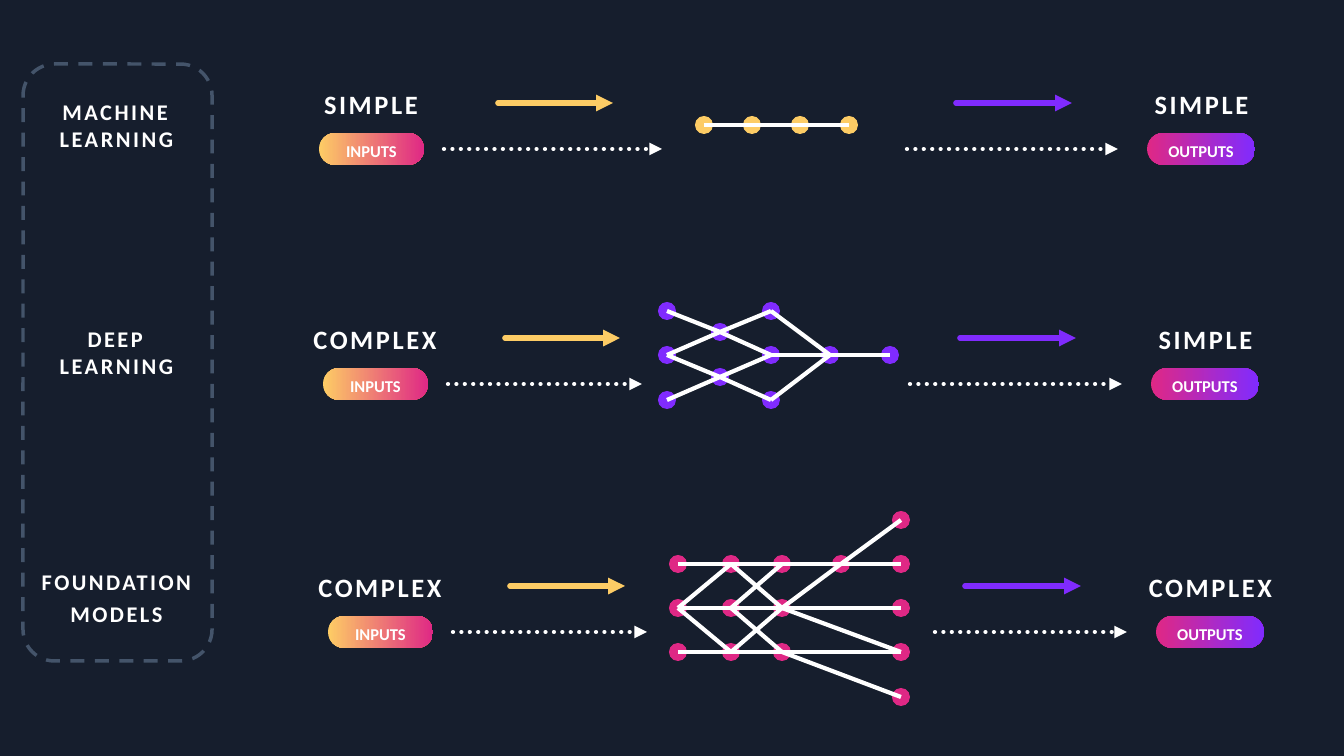
from copy import deepcopy

from pptx import Presentation
from pptx.dml.color import RGBColor
from pptx.enum.dml import MSO_LINE
from pptx.enum.shapes import MSO_CONNECTOR as Connector, MSO_SHAPE as Preset
from pptx.enum.text import MSO_ANCHOR as Anchor, MSO_AUTO_SIZE as AutoSize, PP_ALIGN as Align
from pptx.oxml.ns import qn
from pptx.util import Emu, Pt

NAVY = RGBColor(0x16, 0x1E, 0x2D)
WHITE = RGBColor(0xFF, 0xFF, 0xFF)
SLATE = RGBColor(0x44, 0x54, 0x6A)
YELLOW = RGBColor(0xFD, 0xCC, 0x65)
PINK = RGBColor(0xDF, 0x28, 0x85)
PURPLE = RGBColor(0x80, 0x2B, 0xFE)

# Each model: label, label top, pill top, shift to the right, input and output,
# start of the yellow arrow, end of the first and start of the second dotted arrow
MODELS = [
    (["MACHINE\vLEARNING"], 98, 133, 0, "SIMPLE", "SIMPLE", 498, 662, 907),
    (["DEEP\vLEARNING"], 325, 368, 4, "COMPLEX", "SIMPLE", 505, 642, 910),
    (["FOUNDATION", "MODELS"], 568, 616, 9, "COMPLEX", "COMPLEX", 510, 647, 935),
]

# Each network: colour, column centres, row centres, edges between nodes
# where a node is its column digit and row digit
NETWORKS = [
    (YELLOW, [704, 752, 800, 849], [125], "00-10 10-20 20-30"),
    (PURPLE, [667, 720, 771, 830, 890], [311, 332, 355, 377, 400],
     "00-11 02-11 02-13 04-13 20-11 22-11 22-13 24-13 20-32 22-32 24-32 32-42"),
    (PINK, [678, 731, 782, 841, 901], [520, 564, 608, 652, 697],
     "01-41 02-12 12-42 03-43 02-11 02-13 11-22 12-21 12-23 13-22 "
     "22-31 31-40 22-43 23-44"),
]


def write_text(frame, lines, size=16, spacing=0, after=0):
    """Fill a text frame with centred bold white paragraphs."""
    frame.word_wrap = True
    for index, line in enumerate(lines):
        paragraph = frame.add_paragraph() if index else frame.paragraphs[0]
        paragraph.text = line
        paragraph.alignment = Align.CENTER
        paragraph.space_after = Pt(after)
        for run in paragraph.runs:
            run.font.name = "Calibri"
            run.font.size = Pt(size)
            run.font.bold = True
            run.font.color.rgb = WHITE
            properties = run.font._element
            if spacing:
                properties.set("spc", str(round(spacing * 100)))
        # Line breaks take the size of the text around them
        for line_break in paragraph._p.findall(qn("a:br")):
            line_break.append(deepcopy(properties))


class Canvas:
    """Draws on one slide, with lengths in px."""

    EMU_PER_PX = 914400 / 100.8
    NODE = 18

    def __init__(self, slide):
        self.slide = slide
        slide.background.fill.solid()
        slide.background.fill.fore_color.rgb = NAVY

    @classmethod
    def px(cls, *lengths):
        return [Emu(round(length * cls.EMU_PER_PX)) for length in lengths]

    def text(self, lines, left, top, width, height, inset=0, **style):
        box = self.slide.shapes.add_textbox(*self.px(left, top, width, height))
        frame = box.text_frame
        frame.margin_left = frame.margin_right = 0
        frame.margin_top = frame.margin_bottom = self.px(inset)[0]
        write_text(frame, lines, **style)
        frame.auto_size = AutoSize.SHAPE_TO_FIT_TEXT

    def frame(self, left, top, width, height):
        shape = self.slide.shapes.add_shape(
            Preset.ROUNDED_RECTANGLE, *self.px(left, top, width, height))
        shape.shadow.inherit = False
        shape.fill.background()
        shape.line.color.rgb = SLATE
        shape.line.width = Pt(2.5)
        shape.line.dash_style = MSO_LINE.DASH

    def pill(self, text, left, top, width, start, end):
        shape = self.slide.shapes.add_shape(
            Preset.ROUNDED_RECTANGLE, *self.px(left, top, width, 32))
        shape.adjustments[0] = 0.5
        shape.shadow.inherit = False
        shape.line.fill.background()
        shape.fill.gradient()
        shape.fill.gradient_angle = 0
        for stop, colour in zip(shape.fill.gradient_stops, (start, end)):
            stop.color.rgb = colour
        frame = shape.text_frame
        frame.margin_left = frame.margin_right = frame.margin_bottom = 0
        frame.margin_top = self.px(3)[0]
        frame.vertical_anchor = Anchor.MIDDLE
        write_text(frame, [text], size=11.8)

    def line(self, start, end, colour=WHITE, width=3, shapes=None):
        shapes = shapes or self.slide.shapes
        connector = shapes.add_connector(Connector.STRAIGHT, *self.px(*start, *end))
        connector.line.color.rgb = colour
        connector.line.width = Pt(width)
        properties = connector._element.spPr
        properties.append(properties.makeelement(qn("a:effectLst"), {}))
        return connector

    def arrow(self, left, right, y, dotted=False, **style):
        connector = self.line((left, y), (right, y), **style)
        if dotted:
            connector.line.dash_style = MSO_LINE.ROUND_DOT
        outline = connector._element.spPr.find(qn("a:ln"))
        outline.set("cap", "rnd")
        outline.append(outline.makeelement(qn("a:tailEnd"), {"type": "triangle"}))

    def network(self, colour, columns, rows, edges):
        shapes = self.slide.shapes.add_group_shape().shapes
        pairs = [edge.split("-") for edge in edges.split()]
        centres = {node: (columns[int(node[0])], rows[int(node[1])])
                   for pair in pairs for node in pair}
        for start, end in pairs:
            self.line(centres[start], centres[end], shapes=shapes)
        for x, y in centres.values():
            node = shapes.add_shape(Preset.OVAL, *self.px(
                x - self.NODE // 2, y - self.NODE // 2, self.NODE, self.NODE))
            node.shadow.inherit = False
            node.fill.solid()
            node.fill.fore_color.rgb = colour
            node.line.fill.background()


def main():
    presentation = Presentation()
    presentation.slide_width, presentation.slide_height = Canvas.px(1344, 756)
    canvas = Canvas(presentation.slides.add_slide(presentation.slide_layouts[6]))

    # Dashed frame around the model names
    canvas.frame(23, 64, 189, 597)

    heading = dict(size=18.9, spacing=1.8, inset=5)
    for (label, label_top, top, shift, source, result,
         yellow_start, dotted_end, dotted_start) in MODELS:
        canvas.text(label, -6, label_top, 245, 54, spacing=1.8, after=3.5)

        # Inputs and outputs
        canvas.text([source], 283 + shift, top - 50, 176, 42, **heading)
        canvas.pill("INPUTS", 319 + shift, top, 105, YELLOW, PINK)
        canvas.text([result], 1118 + shift, top - 50, 167, 42, **heading)
        canvas.pill("OUTPUTS", 1147 + shift, top, 108, PINK, PURPLE)

        # Arrows into and out of the network
        canvas.arrow(yellow_start, yellow_start + 115, top - 30, colour=YELLOW, width=4)
        canvas.arrow(956 + shift, 1072 + shift, top - 30, colour=PURPLE, width=4)
        canvas.arrow(444 + shift, dotted_end, top + 16, dotted=True)
        canvas.arrow(dotted_start, 1118 + shift, top + 16, dotted=True)

    # Networks in the middle
    for network in NETWORKS:
        canvas.network(*network)

    presentation.save("out.pptx")


if __name__ == "__main__":
    main()
